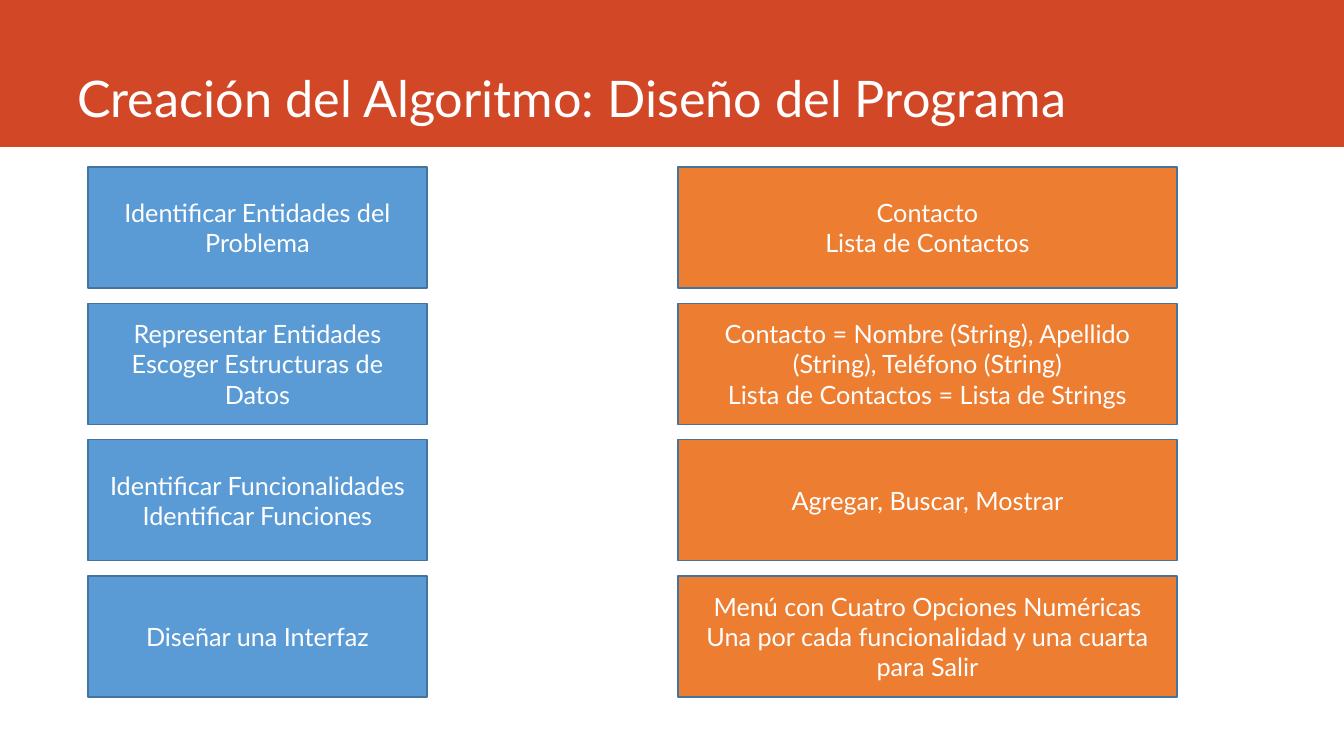
from dataclasses import dataclass

from pptx import Presentation
from pptx.dml.color import RGBColor
from pptx.enum.shapes import MSO_SHAPE
from pptx.enum.text import MSO_ANCHOR, MSO_AUTO_SIZE, PP_ALIGN
from pptx.shapes.autoshape import Shape
from pptx.text.text import TextFrame
from pptx.util import Emu, Inches, Pt

SLIDE_WIDTH, SLIDE_HEIGHT = 1344, 756
EMU_PER_PIXEL = Inches(7.5) / SLIDE_HEIGHT


@dataclass(frozen=True)
class Theme:
    font: str = "Lato"
    title_size: int = 36
    step_size: int = 18
    text: str = "FFFFFF"
    banner: str = "D24726"
    stage: str = "5B9BD5"
    result: str = "ED7D31"
    outline: str = "43739E"
    outline_width: int = 1


@dataclass(frozen=True)
class Column:
    left: int
    width: int
    fill: str
    entries: tuple[str, ...]


THEME = Theme()
FIRST_TOP, LAST_TOP, STEP_HEIGHT = 167, 576, 121

COLUMNS = (
    Column(88, 339, THEME.stage, (
        "Identificar Entidades del Problema",
        "Representar Entidades\nEscoger Estructuras de Datos",
        "Identificar Funcionalidades\nIdentificar Funciones",
        "Diseñar una Interfaz",
    )),
    Column(678, 499, THEME.result, (
        "Contacto\nLista de Contactos",
        "Contacto = Nombre (String), Apellido (String), Teléfono (String)\n"
        "Lista de Contactos = Lista de Strings",
        "Agregar, Buscar, Mostrar",
        "Menú con Cuatro Opciones Numéricas\n"
        "Una por cada funcionalidad y una cuarta para Salir",
    )),
)


def px(pixels: float) -> Emu:
    return Emu(round(pixels * EMU_PER_PIXEL))


def write(frame: TextFrame, text: str, size: int, align: PP_ALIGN) -> None:
    frame.text = text
    frame.word_wrap = True
    for paragraph in frame.paragraphs:
        paragraph.alignment = align
        paragraph.font.name = THEME.font
        paragraph.font.size = Pt(size)
        paragraph.font.color.rgb = RGBColor.from_string(THEME.text)


def add_block(left: int, top: float, width: int, height: int, fill: str) -> Shape:
    block = slide.shapes.add_shape(
        MSO_SHAPE.RECTANGLE, px(left), px(top), px(width), px(height))
    block.shadow.inherit = False
    block.fill.solid()
    block.fill.fore_color.rgb = RGBColor.from_string(fill)
    block.line.fill.background()
    return block


def add_column(column: Column) -> None:
    pitch = (LAST_TOP - FIRST_TOP) / (len(column.entries) - 1)
    for row, entry in enumerate(column.entries):
        step = add_block(column.left, FIRST_TOP + row * pitch,
                         column.width, STEP_HEIGHT, column.fill)
        step.line.color.rgb = RGBColor.from_string(THEME.outline)
        step.line.width = Pt(THEME.outline_width)
        step.text_frame.vertical_anchor = MSO_ANCHOR.MIDDLE
        write(step.text_frame, entry, THEME.step_size, PP_ALIGN.CENTER)


presentation = Presentation()
presentation.slide_width = px(SLIDE_WIDTH)
presentation.slide_height = px(SLIDE_HEIGHT)
slide = presentation.slides.add_slide(presentation.slide_layouts[5])

# Title over the banner
heading = slide.shapes.title
heading.left, heading.top = px(67), px(0)
heading.width, heading.height = px(1185), px(133)
heading.text_frame.auto_size = MSO_AUTO_SIZE.NONE
heading.text_frame.vertical_anchor = MSO_ANCHOR.BOTTOM
write(heading.text_frame, "Creación del Algoritmo: Diseño del Programa",
      THEME.title_size, PP_ALIGN.LEFT)
banner = add_block(0, 0, SLIDE_WIDTH, 147, THEME.banner)
heading.element.addprevious(banner.element)

# Design stages and their results
for column in COLUMNS:
    add_column(column)

presentation.save("out.pptx")
